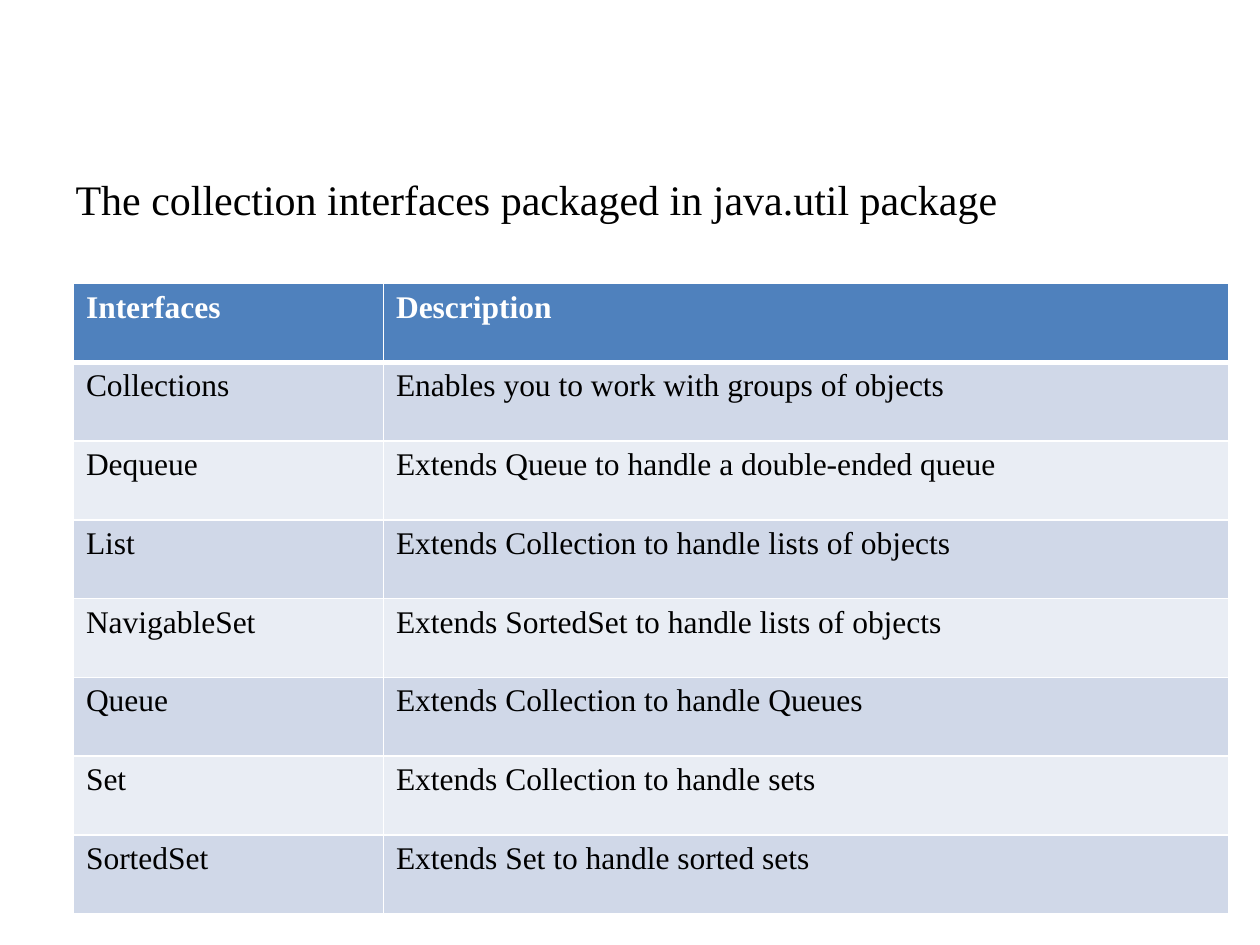
from lxml.etree import SubElement
from pptx import Presentation
from pptx.dml.color import RGBColor as RGB
from pptx.enum.text import MSO_ANCHOR as ANCHOR, MSO_AUTO_SIZE as AUTO, PP_ALIGN as ALIGN
from pptx.oxml.ns import qn
from pptx.util import Cm, Pt

# Content
TITLE = "The collection interfaces packaged in java.util package"
ROWS = [
    ("Interfaces", "Description"),
    ("Collections", "Enables you to work with groups of objects"),
    ("Dequeue", "Extends Queue to handle a double-ended queue"),
    ("List", "Extends Collection to handle lists of objects"),
    ("NavigableSet", "Extends SortedSet to handle lists of objects"),
    ("Queue", "Extends Collection to handle Queues"),
    ("Set", "Extends Collection to handle sets"),
    ("SortedSet", "Extends Set to handle sorted sets"),
]
FONT = "Times New Roman"
COLORS = {"text": "000000", "white": "FFFFFF", "header": "4F81BD",
          "odd": "D0D8E8", "even": "E9EDF4"}
COL_WIDTHS = [Cm(6.25), Cm(17.04)]
TABLE_HEIGHT = Cm(12.7)


def write(tf, text, size=18, color="text", bold=False):
    p = tf.paragraphs[0]
    p.alignment = ALIGN.LEFT
    r = p.add_run()
    r.text = text
    r.font.name, r.font.size, r.font.bold = FONT, Pt(size), bold
    r.font.color.rgb = RGB.from_string(COLORS[color])


def set_borders(cell, bottom=1, top=1):
    tc_pr = cell._tc.get_or_add_tcPr()
    widths = {"a:lnL": 1, "a:lnR": 1, "a:lnT": top, "a:lnB": bottom}
    for i, (tag, width) in enumerate(widths.items()):
        ln = SubElement(tc_pr, qn(tag), w=str(Pt(width)))
        tc_pr.insert(i, ln)
        fill = SubElement(ln, qn("a:solidFill"))
        SubElement(fill, qn("a:srgbClr"), val=COLORS["white"])


prs = Presentation()
prs.slide_width, prs.slide_height = Cm(25.4), Cm(19.05)
s = prs.slides.add_slide(prs.slide_layouts[5])

# Title
title = s.shapes.title
title.left, title.top, title.width, title.height = Cm(1.27), Cm(3.38), Cm(22.02), Cm(1.27)
tf = title.text_frame
tf.word_wrap, tf.auto_size, tf.vertical_anchor = True, AUTO.NONE, ANCHOR.TOP
write(tf, TITLE, size=24)

# Table
table = s.shapes.add_table(len(ROWS), len(COL_WIDTHS), Cm(1.48), Cm(5.72),
                           sum(COL_WIDTHS), TABLE_HEIGHT).table
for col, width in zip(table.columns, COL_WIDTHS):
    col.width = width
for i, row in enumerate(ROWS):
    table.rows[i].height = TABLE_HEIGHT // len(ROWS)
    header = i == 0
    shade = "header" if header else "odd" if i % 2 else "even"
    for j, text in enumerate(row):
        cell = table.cell(i, j)
        cell.fill.solid()
        cell.fill.fore_color.rgb = RGB.from_string(COLORS[shade])
        set_borders(cell, bottom=3 if header else 1, top=3 if i == 1 else 1)
        write(cell.text_frame, text, color="white" if header else "text", bold=header)

prs.save("out.pptx")
